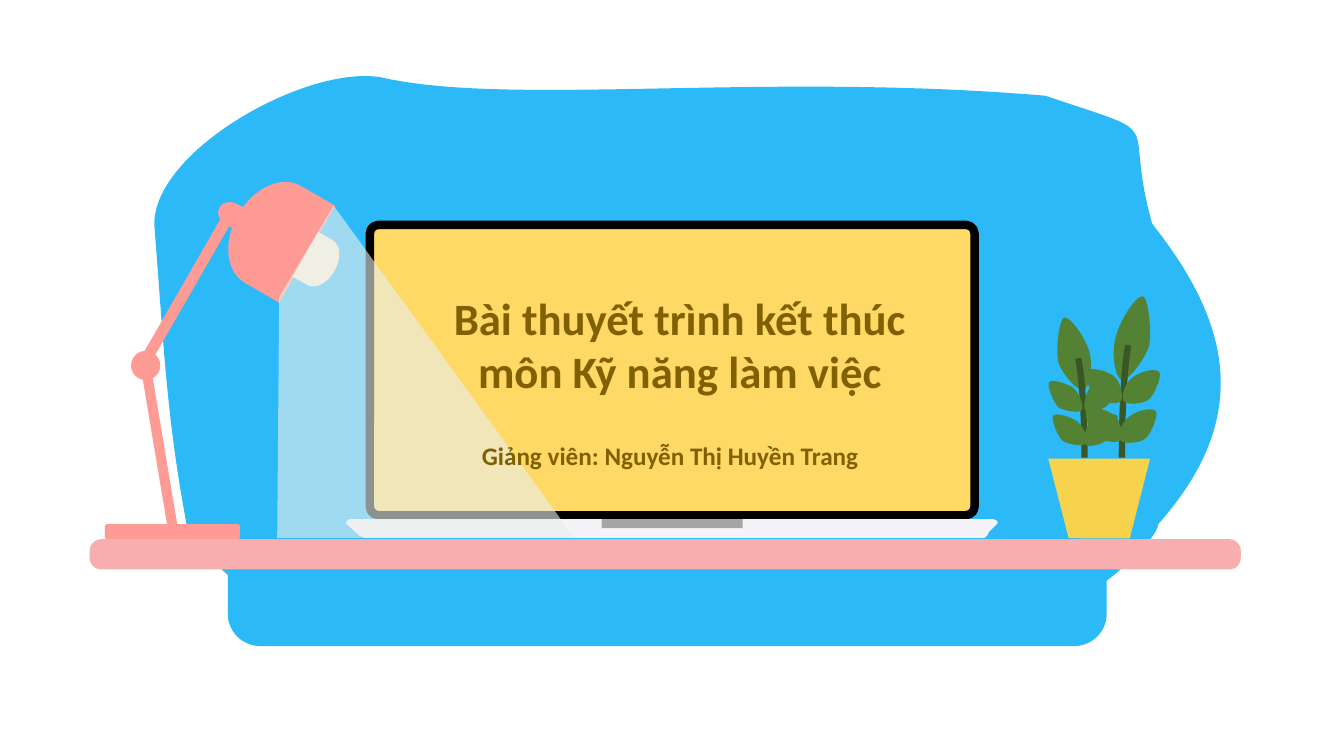
from lxml import etree
from pptx import Presentation
from pptx import util as u
from pptx.dml.color import RGBColor
from pptx.enum import shapes, text
from pptx.oxml.ns import qn

Pt = u.Pt
Kind = shapes.MSO_SHAPE

# Content
TEXTS = [
    # wording, box, size, alignment
    ("Bài thuyết trình kết thúc môn Kỹ năng làm việc",
     (311.8, 203.8, 347.8, 85), 32, text.PP_ALIGN.CENTER),
    ("Giảng viên: Nguyễn Thị Huyền Trang",
     (337, 311, 286.6, 28.8), 18, text.PP_ALIGN.LEFT),
]
BROWN, BLUE, CORAL, LEAF, STEM = "806000", "2CB9F8", "FE9B95", "548235", "385723"

# Outlines: two numbers are a straight step, six numbers are a curve
BLOB = [
    (110.2, 160.6),
    (109.4, 107.3, 220.3, 45.4, 272.9, 55.4),
    (365.8, 76.3, 543.6, 51.1, 746.6, 68.4),
    (838.8, 99.4, 800.6, 79.9, 823, 159.8),
    (877.7, 229, 896.4, 296.6, 827.3, 374.4),
    (827.3, 385.9, 781.9, 425.5, 771.1, 425.5),
    (190.1, 425.5),
    (179.3, 425.5, 156.2, 409.7, 133.9, 378),
    (118.8, 297.4, 117.4, 251.3, 110.2, 160.6),
]
LAPTOP_BASE = [
    (247, 373.7),
    (247, 372.2, 248.4, 370.8, 251.3, 370.8),
    (709.2, 370.8),
    (711.4, 370.8, 712.8, 372.2, 712.8, 373.7),
    (706.3, 380.2),
    (706.3, 381.6, 703.4, 385.2, 700.6, 385.2),
    (265, 385.2),
    (262.8, 385.2, 255.6, 383, 255.6, 381.6),
]
BEAM = [(199.4, 212.4), (238.3, 146.9), (410.4, 384.5), (198, 384.5)]

# Each plant: top leaf, stem box, stem flipped, side leaves with the step to the lower one
PLANTS = [
    ([(756, 258.5),
      (753.8, 249.1, 756.7, 227.5, 760.3, 226.8),
      (764.6, 226.1, 775.4, 241.2, 778.3, 252),
      (781.2, 263.5, 777.6, 277.9, 774, 278.6),
      (770.4, 280.1, 758.2, 267.1, 756, 258.5)],
     (758.9, 248.4, 15.8, 157), False,
     [([(779, 276.5),
        (782.6, 273.6, 795.6, 270, 797.8, 272.2),
        (800, 274.3, 795.6, 284.4, 791.3, 289.4),
        (786.2, 293.8, 776.9, 295.2, 775.4, 293),
        (773.3, 290.9, 775.4, 280.1, 779, 276.5)], (0, 24.5)),
      ([(756, 290.9),
        (752.4, 287.3, 747.4, 275, 749.5, 272.9),
        (751, 270.7, 761.8, 273.6, 766.8, 277.2),
        (771.8, 281.5, 774.7, 290.9, 772.6, 293),
        (771.1, 295.2, 760.3, 293.8, 756, 290.9)], (2.9, 23.9))]),
    ([(820.8, 247),
      (823, 237.6, 820.1, 212.4, 816.5, 211.7),
      (812.2, 210.2, 800.6, 227.5, 797, 240.5),
      (793.4, 253.4, 797, 270.7, 801.4, 271.4),
      (805, 272.9, 817.9, 257, 820.8, 247)],
     (801.4, 236.2, 16.6, 181.4), True,
     [([(796.3, 269.3),
        (792.7, 265, 778.3, 262.1, 776.2, 264.2),
        (774, 267.1, 777.6, 278.6, 782.6, 283),
        (787.7, 288, 797.8, 289.4, 800.6, 286.6),
        (802.8, 284.4, 800.6, 272.9, 796.3, 269.3)], (0, 27.7)),
      ([(820.8, 285.1),
        (825.1, 281.5, 830.2, 267.8, 828, 265.7),
        (825.8, 262.8, 814.3, 265, 808.6, 270),
        (802.8, 274.3, 800.6, 284.4, 802.8, 286.6),
        (805, 289.4, 817.2, 288.7, 820.8, 285.1)], (-2.5, 28))]),
]
LAMP = [
    # kind, box, turn, colour
    (Kind.ROUNDED_RECTANGLE, (74.9, 374.4, 96.5, 10.8), 0, CORAL),
    (Kind.ROUNDED_RECTANGLE, (54.7, 318.2, 118.8, 7.2), 80.5, CORAL),
    (Kind.OVAL, (93.6, 250.6, 20.9, 20.9), 0, CORAL),
    (Kind.ROUNDED_RECTANGLE, (74.2, 204.5, 115.9, 7.9), 119.9, CORAL),
    (Kind.FLOWCHART_DELAY, (155.5, 144.7, 19.4, 16.6), 206.9, CORAL),
    (Kind.FLOWCHART_DELAY, (166.3, 127.4, 56.9, 79.9), 210, CORAL),
    (Kind.FLOWCHART_DELAY, (216.7, 169.2, 23.8, 36.7), 29.6, "FCF1D7"),
]

deck = Presentation()
deck.slide_width, deck.slide_height = Pt(960), Pt(540)
page = deck.slides.add_slide(deck.slide_layouts[0])


def colour(code):
    return RGBColor.from_string(code)


def paint(shape, fill=None, line=None, width=0):
    shape.shadow.inherit = False
    if fill:
        shape.fill.solid()
        shape.fill.fore_color.rgb = colour(fill)
    else:
        shape.fill.background()
    if line:
        shape.line.color.rgb = colour(line)
        shape.line.width = Pt(width)
    else:
        shape.line.fill.background()
    return shape


def preset(kind, box, fill=None, turn=0, adjust=(), **stroke):
    shape = page.shapes.add_shape(kind, *map(Pt, box))
    shape.rotation = turn
    for index, value in enumerate(adjust):
        shape.adjustments[index] = value
    return paint(shape, fill, **stroke)


def curve_point(corners, t):
    weights = ((1 - t) ** 3, 3 * t * (1 - t) ** 2, 3 * t * t * (1 - t), t ** 3)
    return tuple(int(sum(w * c[axis] for w, c in zip(weights, corners))) for axis in (0, 1))


def outline(steps, fill, shift=(0, 0)):
    """Draw a closed outline of straight steps and curves."""
    steps = [[(Pt(x + shift[0]), Pt(y + shift[1])) for x, y in zip(step[::2], step[1::2])]
             for step in steps]
    # Points along the outline give the shape its box
    points = [steps[0][0]]
    for step in steps[1:]:
        corners = [points[-1], *step]
        points += step if len(step) == 1 else [curve_point(corners, n / 20) for n in range(1, 21)]
    builder = page.shapes.build_freeform(*points[0])
    builder.add_line_segments(points[1:], close=True)
    shape = builder.convert_to_shape()
    # Steps written as true lines and curves inside that box
    track = next(shape._element.iter(qn("a:path")))
    for child in list(track):
        track.remove(child)
    for index, step in enumerate(steps):
        tag = "a:moveTo" if index == 0 else "a:lnTo" if len(step) == 1 else "a:cubicBezTo"
        move = etree.SubElement(track, qn(tag))
        for x, y in step:
            etree.SubElement(move, qn("a:pt"), x=str(x - shape.left), y=str(y - shape.top))
    etree.SubElement(track, qn("a:close"))
    return paint(shape, fill)


# Backdrop and laptop
outline(BLOB, BLUE)
preset(Kind.ROUNDED_RECTANGLE, (264.2, 160.6, 432, 207.4), "FFD966",
       adjust=[0.03], line="000000", width=6)
outline(LAPTOP_BASE, "F4F3F7")
preset(Kind.RECTANGLE, (429.8, 370.8, 100.8, 6.5), "A6A6A6")

# Potted plants
for top_leaf, stem_box, flipped, side_leaves in PLANTS:
    outline(top_leaf, LEAF)
    stem = preset(Kind.ARC, stem_box, adjust=[163.64, 0], line=STEM, width=4.5)
    if flipped:
        stem._element.spPr.find(qn("a:xfrm")).set("flipH", "1")
    for leaf, step in side_leaves:
        for shift in ((0, 0), step):
            outline(leaf, LEAF, shift)
preset(Kind.FLOWCHART_MANUAL_OPERATION, (748.8, 327.6, 72.7, 56.9), "F6D24D")

# Lamp and its see-through beam
for kind, box, turn, fill in LAMP:
    preset(kind, box, fill, turn)
beam = outline(BEAM, "E8EFEC")
beam_colour = beam._element.spPr.find(qn("a:solidFill"))[0]
etree.SubElement(beam_colour, qn("a:alpha")).set("val", "61000")

# Desk
preset(Kind.ROUNDED_RECTANGLE, (162.7, 384.5, 627.8, 77), BLUE, adjust=[0.3])
preset(Kind.ROUNDED_RECTANGLE, (64.1, 385.2, 822.2, 21.6), "F6AEAE", adjust=[0.38])

# Title and lecturer, brought in front of the drawing
for holder, (words, box, size, align) in zip(list(page.placeholders), TEXTS):
    holder.left, holder.top, holder.width, holder.height = map(Pt, box)
    frame = holder.text_frame
    frame.text = words
    for name, value in {"word_wrap": True, "auto_size": text.MSO_AUTO_SIZE.NONE,
                        "vertical_anchor": text.MSO_ANCHOR.TOP}.items():
        setattr(frame, name, value)
    para = frame.paragraphs[0]
    para.alignment, para.space_before = align, Pt(0)
    span = para.runs[0]
    for name, value in {"name": "Calibri", "size": Pt(size), "bold": True}.items():
        setattr(span.font, name, value)
    span.font.color.rgb = colour(BROWN)
    page.shapes._spTree.append(holder._element)

deck.save("out.pptx")
